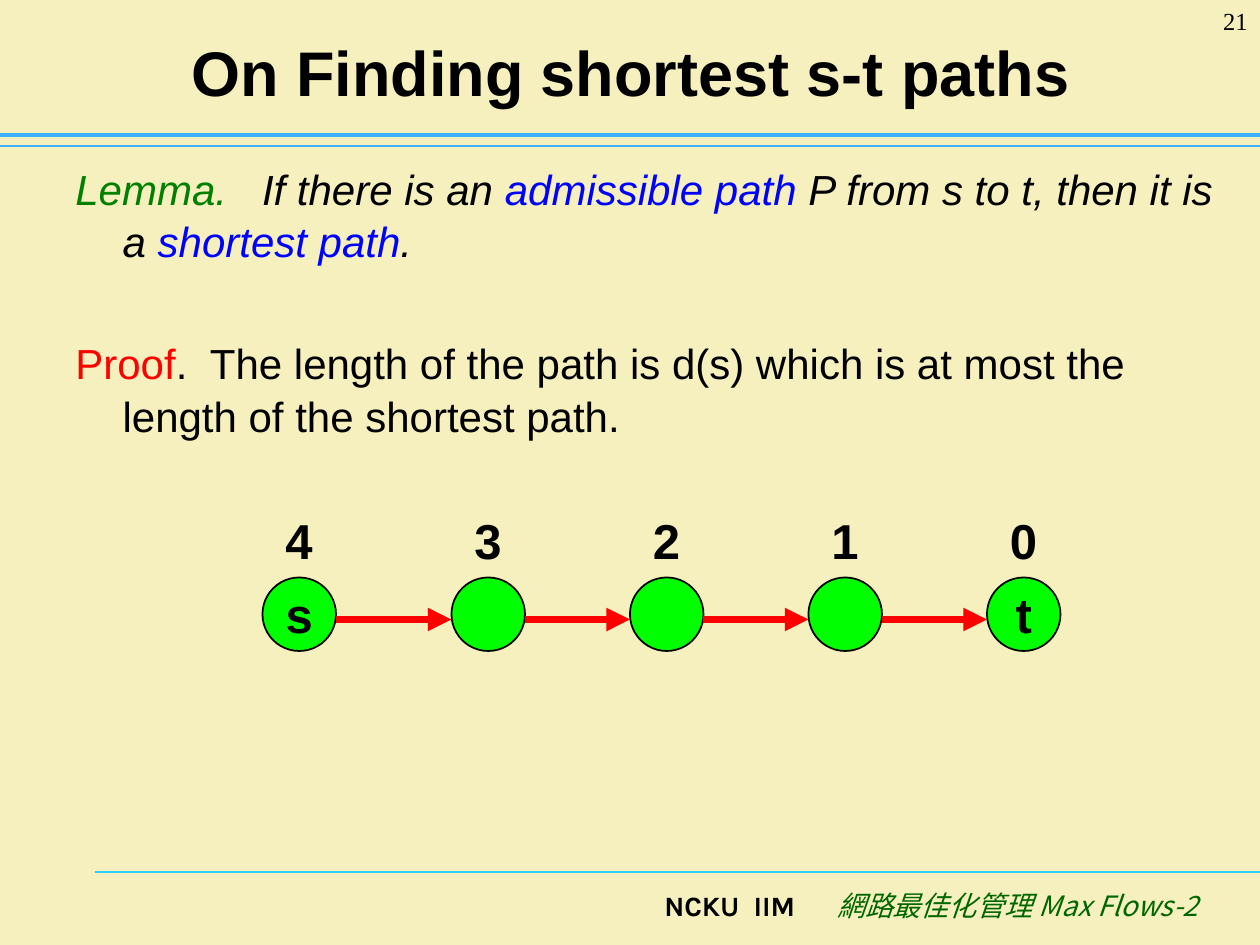
from lxml import etree
from pptx import Presentation
from pptx.dml.color import RGBColor
from pptx.enum.shapes import MSO_CONNECTOR, MSO_SHAPE
from pptx.enum.text import MSO_ANCHOR, MSO_AUTO_SIZE, PP_ALIGN
from pptx.oxml.ns import qn
from pptx.util import Pt

STRAIGHT = MSO_CONNECTOR.STRAIGHT
OVAL = MSO_SHAPE.OVAL
LEFT, CENTER, RIGHT = PP_ALIGN.LEFT, PP_ALIGN.CENTER, PP_ALIGN.RIGHT
TOP, MIDDLE = MSO_ANCHOR.TOP, MSO_ANCHOR.MIDDLE
NO_AUTOFIT = MSO_AUTO_SIZE.NONE

COLORS = {
    "background": "F5F0BD", "text": "000000", "rule": "3DB0FF",
    "footer_rule": "33CCFF", "footer": "006600", "lemma": "008000",
    "term": "0000FF", "proof": "FF0000", "node": "00FF00", "arrow": "FF0000",
}
TITLE = {"name": "Arial", "size": Pt(36), "bold": True}
BODY = {"name": "Arial", "size": Pt(24)}
LEMMA = {**BODY, "italic": True}
NODE = {"name": "Arial", "size": Pt(28), "bold": True}
SCHOOL = {"name": "Karla", "size": Pt(16), "bold": True}
COURSE = {"name": "Noto Sans CJK SC", "size": Pt(16), "italic": True}
NUMBER = {"name": "Times New Roman", "size": Pt(14)}


def color(name):
    return RGBColor.from_string(COLORS[name])


def add_run(paragraph, text, style, color_name="text"):
    run = paragraph.add_run()
    run.text = text
    for attribute, value in style.items():
        setattr(run.font, attribute, value)
    run.font.color.rgb = color(color_name)
    return run


def set_frame(shape, anchor=TOP, wrap=True):
    frame = shape.text_frame
    settings = {
        "auto_size": NO_AUTOFIT, "word_wrap": wrap, "vertical_anchor": anchor,
        "margin_left": Pt(7.2), "margin_right": Pt(7.2),
        "margin_top": Pt(3.6), "margin_bottom": Pt(3.6),
    }
    for attribute, value in settings.items():
        setattr(frame, attribute, value)
    return frame


def add_label(slide, box, text, style, align=LEFT, color_name="text"):
    shape = slide.shapes.add_textbox(*map(Pt, box))
    paragraph = set_frame(shape).paragraphs[0]
    paragraph.alignment = align
    return add_run(paragraph, text, style, color_name)


def add_line(slide, start, end, color_name, width, arrow=False):
    line = slide.shapes.add_connector(STRAIGHT, *map(Pt, (*start, *end)))
    line.line.color.rgb = color(color_name)
    line.line.width = Pt(width)
    if arrow:
        outline = line.line._get_or_add_ln()
        etree.SubElement(outline, qn("a:tailEnd"), type="triangle")
    etree.SubElement(line._element.spPr, qn("a:effectLst"))


def add_title(slide, box, text):
    title = slide.shapes.title
    title.left, title.top, title.width, title.height = map(Pt, box)
    paragraph = set_frame(title, MIDDLE).paragraphs[0]
    paragraph.alignment = CENTER
    add_run(paragraph, text, TITLE)


def add_header_rules(slide, box):
    left, top, width, height = box
    for y, weight in ((top, 2.5), (top + height, 0.75)):
        add_line(slide, (left, y), (left + width, y), "rule", weight)


def add_body(slide, box):
    frame = set_frame(slide.shapes.add_textbox(*map(Pt, box)))
    lemma = [
        ("Lemma. ", "lemma"), ("  If there is an ", "text"),
        ("admissible path", "term"), (" P from s to t, then it is a ", "text"),
        ("shortest path", "term"), (".", "text"),
    ]
    proof = [
        ("Proof", "proof"),
        (".  The length of the path is d(s) which is at most the "
         "length of the shortest path.", "text"),
    ]
    paragraphs = (frame.paragraphs[0], frame.add_paragraph())
    paragraphs[1].space_before = Pt(40)
    for paragraph, runs, style in zip(paragraphs, (lemma, proof), (LEMMA, BODY)):
        paragraph.line_spacing = 1.04
        properties = paragraph._p.get_or_add_pPr()
        properties.set("marL", str(Pt(27)))
        properties.set("indent", str(Pt(-27)))
        for text, color_name in runs:
            add_run(paragraph, text, style, color_name)


def add_node(slide, left, top, size, name):
    node = slide.shapes.add_shape(OVAL, *map(Pt, (left, top, size, size)))
    node.shadow.inherit = False
    node.fill.solid()
    node.fill.fore_color.rgb = color("node")
    node.line.color.rgb = color("text")
    node.line.width = Pt(1)
    if name:
        paragraph = set_frame(node, MIDDLE, wrap=False).paragraphs[0]
        paragraph.alignment = CENTER
        add_run(paragraph, name, NODE)


def add_path(slide, box):
    """Draw the path from s to t, with the distance to t above each node."""
    left, top, width, height = box
    size, step = 42, 102
    names = ["s", "", "", "", "t"]
    last = len(names) - 1
    node_top = top + height - size
    arrow_y = node_top + 24
    # The inner nodes are spaced back from t; s stands at the left edge.
    lefts = [left] + [left + width - size - step * (last - i)
                      for i in range(1, last + 1)]
    for index, (x, name) in enumerate(zip(lefts, names)):
        add_node(slide, x, node_top, size, name)
        add_label(slide, (x + 6, top, 48, 41), str(last - index), NODE)
    for start, end in zip(lefts, lefts[1:]):
        add_line(slide, (start + size, arrow_y), (end, arrow_y),
                 "arrow", 4.5, arrow=True)


def add_footer(slide, box):
    left, top, width, height = box
    add_line(slide, (left, top), (left + width, top), "footer_rule", 0.75)
    text_top = top + 5.75
    add_label(slide, (left + 300, text_top, 107.5, height), "NCKU  IIM",
              SCHOOL, RIGHT)
    course = add_label(slide, (left + 407.5, text_top, 230.5, height),
                       "網路最佳化管理 Max Flows-2", COURSE, RIGHT, "footer")
    etree.SubElement(course._r.get_or_add_rPr(), qn("a:ea"),
                     typeface=COURSE["name"])


def main():
    presentation = Presentation()
    presentation.slide_width, presentation.slide_height = Pt(720), Pt(540)
    slide = presentation.slides.add_slide(presentation.slide_layouts[5])
    slide.background.fill.solid()
    slide.background.fill.fore_color.rgb = color("background")
    add_header_rules(slide, (0, 77, 720, 6.5))
    add_footer(slide, (54, 498.25, 666, 36))
    add_title(slide, (36.5, 9.5, 648, 62.5), "On Finding shortest s-t paths")
    add_body(slide, (36, 88.5, 664.5, 196))
    add_path(slide, (150, 288, 456, 84))
    add_label(slide, (660, 0, 60, 36), "21", NUMBER, RIGHT)
    presentation.save("out.pptx")


if __name__ == "__main__":
    main()
